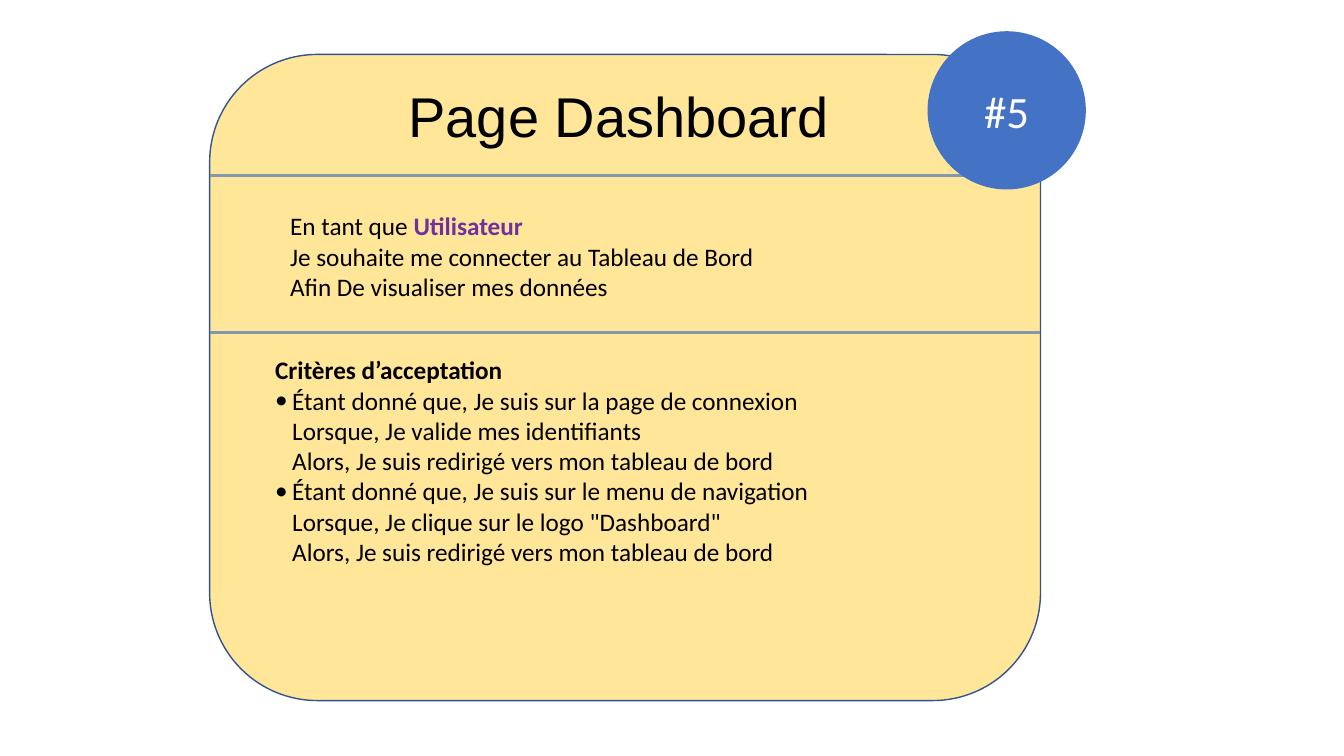
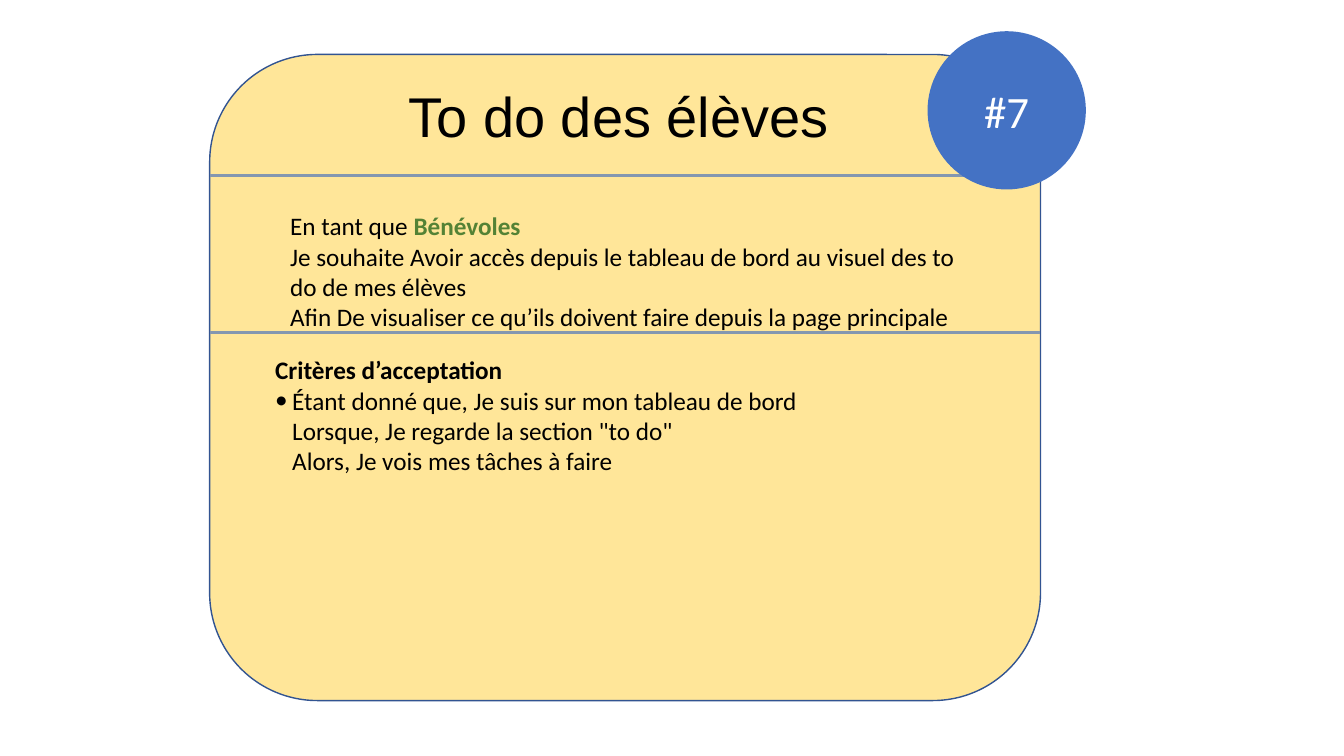
"""Build two user story cards, each with a title, a story and acceptance criteria."""
from lxml import etree
from pptx import Presentation
from pptx.dml.color import RGBColor
from pptx.enum.shapes import MSO_CONNECTOR as Connector, MSO_SHAPE as Shape
from pptx.enum.text import MSO_ANCHOR as Anchor, MSO_AUTO_SIZE as AutoSize, PP_ALIGN as Align
from pptx.oxml.ns import qn
from pptx.util import Inches, Pt

STORIES = [
    {
        "number": "#5",
        "title": "Page Dashboard",
        "role": ("Utilisateur", "7030A0"),
        "wish": "Je souhaite me connecter au Tableau de Bord",
        "goal": "Afin De visualiser mes données",
        "criteria": [
            ("Étant donné que, Je suis sur la page de connexion",
             "Lorsque, Je valide mes identifiants",
             "Alors, Je suis redirigé vers mon tableau de bord"),
            ("Étant donné que, Je suis sur le menu de navigation",
             'Lorsque, Je clique sur le logo "Dashboard"',
             "Alors, Je suis redirigé vers mon tableau de bord"),
        ],
    },
    {
        "number": "#7",
        "title": "To do des élèves",
        "role": ("Bénévoles", "548235"),
        "wish": "Je souhaite Avoir accès depuis le tableau de bord au visuel des to do de mes élèves",
        "goal": "Afin De visualiser ce qu’ils doivent faire depuis la page principale",
        "criteria": [
            ("Étant donné que, Je suis sur mon tableau de bord",
             'Lorsque, Je regarde la section "to do"',
             "Alors, Je vois mes tâches à faire"),
        ],
    },
]
CRITERIA_HEADING = "Critères d’acceptation"

BLACK, WHITE = "000000", "FFFFFF"
CARD_FILL, CARD_LINE, RULE, BADGE = "FFE699", "325491", "8497B0", "4472C4"
CARD_LEFT, CARD_TOP, CARD_WIDTH, CARD_HEIGHT = 2.08, 0.54, 8.24, 6.41
RULE_TOPS = (1.74, 3.3)
TITLE_AREA = (2.78, 0.76, 6.71, 0.77)
STORY_AREA = (2.78, 2.04, 6.87, 1.01)
CRITERIA_AREA = (2.63, 3.47, 7.01, 2.22)
BADGE_AREA = (9.2, 0.31, 1.57, 1.57)
BULLET_INDENT = Inches(0.17)


def color(value):
    return RGBColor.from_string(value)


def inches(area):
    return [Inches(length) for length in area]


def add_span(para, text, size=18, fill=BLACK, bold=False, font="Calibri"):
    span = para.add_run()
    span.text = text
    span.font.name, span.font.size, span.font.bold = font, Pt(size), bold
    span.font.color.rgb = color(fill)


def add_text_box(page, area):
    frame = page.shapes.add_textbox(*inches(area)).text_frame
    frame.word_wrap = True
    return frame


def indent(para, bullet):
    props = para._p.get_or_add_pPr()
    props.set("marL", str(BULLET_INDENT))
    if bullet:
        props.set("indent", str(-BULLET_INDENT))
        etree.SubElement(props, qn("a:buFont")).set("typeface", "Calibri")
        etree.SubElement(props, qn("a:buChar")).set("char", "•")


def add_filled_shape(page, kind, area, fill):
    shape = page.shapes.add_shape(kind, *inches(area))
    shape.shadow.inherit = False
    shape.fill.solid()
    shape.fill.fore_color.rgb = color(fill)
    return shape


def add_card(page):
    card = add_filled_shape(page, Shape.ROUNDED_RECTANGLE,
                            (CARD_LEFT, CARD_TOP, CARD_WIDTH, CARD_HEIGHT), CARD_FILL)
    card.line.color.rgb = color(CARD_LINE)
    card.line.width = Pt(1)
    for top in RULE_TOPS:
        ends = inches((CARD_LEFT, top, CARD_LEFT + CARD_WIDTH, top))
        rule = page.shapes.add_connector(Connector.STRAIGHT, *ends)
        rule.line.color.rgb = color(RULE)
        rule.line.width = Pt(2.25)
        etree.SubElement(rule._element.spPr, qn("a:effectLst"))
    return card


def set_title(page, card, text):
    title = page.shapes.title
    title.left, title.top, title.width, title.height = inches(TITLE_AREA)
    card._element.addnext(title._element)
    frame = title.text_frame
    frame.auto_size = AutoSize.NONE
    frame.vertical_anchor = Anchor.TOP
    para = frame.paragraphs[0]
    para.alignment = Align.CENTER
    add_span(para, text, 40, font="Arial")


def add_story(page, story):
    frame = add_text_box(page, STORY_AREA)
    role, role_color = story["role"]
    para = frame.paragraphs[0]
    add_span(para, "En tant que ")
    add_span(para, role, fill=role_color, bold=True)
    for line in (story["wish"], story["goal"]):
        add_span(frame.add_paragraph(), line)


def add_criteria(page, criteria):
    frame = add_text_box(page, CRITERIA_AREA)
    add_span(frame.paragraphs[0], CRITERIA_HEADING, bold=True)
    for criterion in criteria:
        for position, line in enumerate(criterion):
            para = frame.add_paragraph()
            indent(para, bullet=position == 0)
            add_span(para, line)


def add_badge(page, number):
    badge = add_filled_shape(page, Shape.OVAL, BADGE_AREA, BADGE)
    badge.line.fill.background()
    badge.text_frame.vertical_anchor = Anchor.MIDDLE
    para = badge.text_frame.paragraphs[0]
    para.alignment = Align.CENTER
    add_span(para, number, 32, WHITE)


def main():
    deck = Presentation()
    deck.slide_width, deck.slide_height = Inches(13.33), Inches(7.5)
    title_only = deck.slide_layouts.get_by_name("Title Only")
    for story in STORIES:
        page = deck.slides.add_slide(title_only)
        card = add_card(page)
        set_title(page, card, story["title"])
        add_story(page, story)
        add_criteria(page, story["criteria"])
        add_badge(page, story["number"])
    deck.save("out.pptx")


if __name__ == "__main__":
    main()
